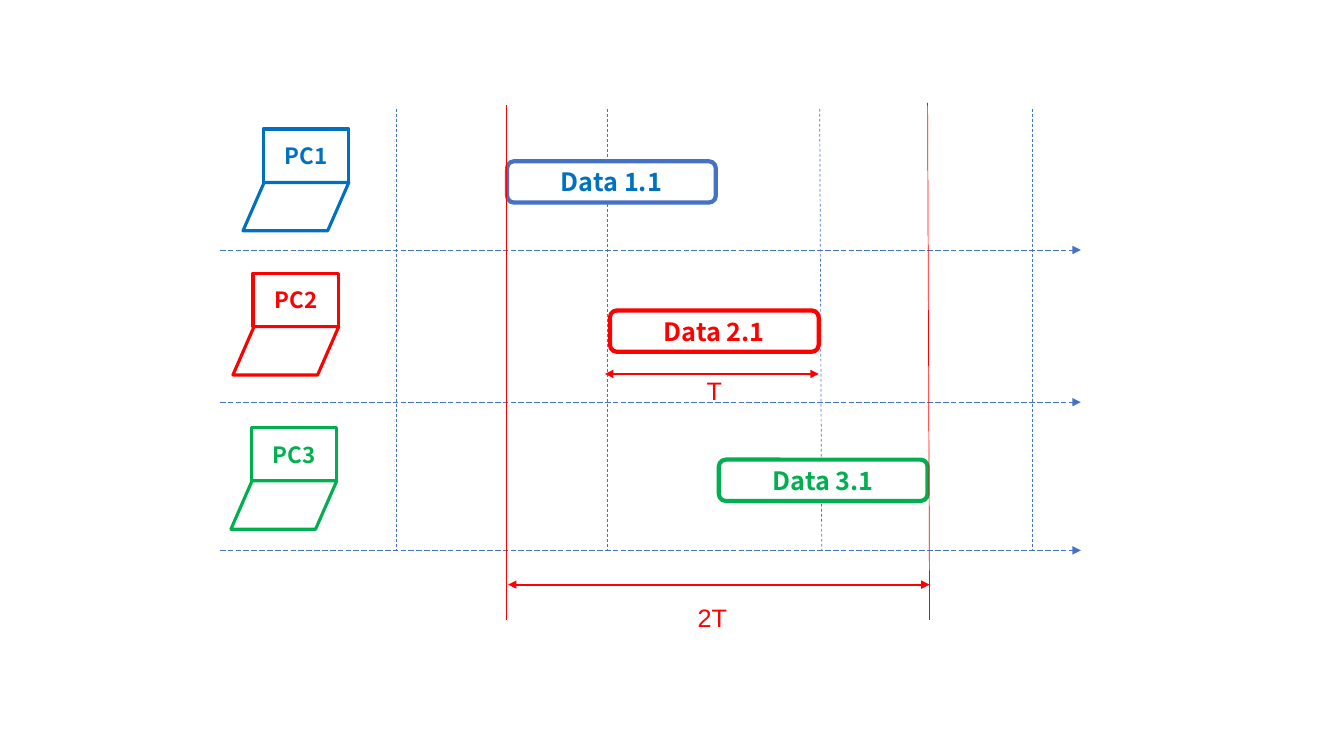
from lxml import etree
from pptx import Presentation
from pptx.dml.color import RGBColor
from pptx.enum.dml import MSO_LINE
from pptx.enum.shapes import MSO_CONNECTOR, MSO_SHAPE
from pptx.enum.text import MSO_ANCHOR, PP_ALIGN
from pptx.oxml.ns import qn
from pptx.util import Inches, Pt

RECT, ROUND = MSO_SHAPE.RECTANGLE, MSO_SHAPE.ROUNDED_RECTANGLE
KEYBOARD = MSO_SHAPE.FLOWCHART_DATA
STRAIGHT = MSO_CONNECTOR.STRAIGHT
DASH, LONG_DASH = MSO_LINE.DASH, MSO_LINE.LONG_DASH
MIDDLE, CENTER = MSO_ANCHOR.MIDDLE, PP_ALIGN.CENTER

BLUE, RED, GREEN = "0070C0", "FF0000", "00B050"
AXIS, WHITE = "4472C4", "FFFFFF"
LABEL_FONT, TIME_FONT = "Noto Sans CJK JP", "Arial"


def rgb(value):
    """Return the colour for a hex string."""
    return RGBColor.from_string(value)


def add_text(sp, text, size, font, color, bold=False):
    """Write one centred run into a shape."""
    tf = sp.text_frame
    tf.word_wrap = True
    p = tf.paragraphs[0]
    p.alignment = CENTER
    r = p.add_run()
    r.text = text
    r.font.size = Pt(size)
    r.font.name = font
    r.font.bold = bold
    r.font.color.rgb = rgb(color)


def add_box(s, kind, box, color, width, fill=None):
    """Add an outlined shape, hollow unless a fill is given."""
    sp = s.shapes.add_shape(kind, *map(Inches, box))
    sp.shadow.inherit = False
    if fill:
        sp.fill.solid()
        sp.fill.fore_color.rgb = rgb(fill)
    else:
        sp.fill.background()
    sp.line.color.rgb = rgb(color)
    sp.line.width = Pt(width)
    sp.text_frame.vertical_anchor = MIDDLE
    return sp


def add_line(s, start, end, color, width, dash=None, arrows=()):
    """Add a straight line with optional dashes and arrowheads."""
    line = s.shapes.add_connector(STRAIGHT, *map(Inches, (*start, *end)))
    line.line.color.rgb = rgb(color)
    line.line.width = Pt(width)
    if dash:
        line.line.dash_style = dash
    ln = line.line._get_or_add_ln()
    for arrow in arrows:
        etree.SubElement(ln, qn(f"a:{arrow}"), type="triangle")
    etree.SubElement(line._element.spPr, qn("a:effectLst"))


def add_laptop(s, x, y, name, color):
    """Draw a laptop as a named screen above a slanted keyboard."""
    screen = add_box(s, RECT, (x + 0.2, y, 0.85, 0.53), color, 2.25)
    add_text(screen, name, 16, LABEL_FONT, color, True)
    add_box(s, KEYBOARD, (x, y + 0.53, 1.05, 0.48), color, 2.25)


def add_grid(s, left, top, right, bottom):
    """Draw the dashed slot boundaries and one time axis per computer."""
    for x, x_end in ((3.93, 3.93), (6.02, 6.02), (8.13, 8.15), (10.24, 10.24)):
        add_line(s, (x, top), (x_end, bottom), AXIS, 0.5, DASH)
    for y in (2.48, 3.99, bottom):
        add_line(s, (left, y), (right, y), AXIS, 0.5, LONG_DASH, ("tailEnd",))


def add_frame(s, x, y, text, color, outline):
    """Draw a data frame as a rounded bar."""
    sp = add_box(s, ROUND, (x, y, 2.07, 0.41), outline, 3, WHITE)
    add_text(sp, text, 18, LABEL_FONT, color, True)


def add_span(s, x, y, width, text, label_box):
    """Draw a double arrow with its duration label."""
    add_line(s, (x, y), (x + width, y), RED, 1.5, None, ("headEnd", "tailEnd"))
    label = s.shapes.add_textbox(*map(Inches, label_box))
    add_text(label, text, 18, TIME_FONT, RED)


def build_slide(prs):
    """Build the frame collision timing diagram."""
    s = prs.slides.add_slide(prs.slide_layouts[6])
    for x, y, name, color in ((2.29, 4.24, "PC3", GREEN),
                              (2.31, 2.71, "PC2", RED),
                              (2.41, 1.28, "PC1", BLUE)):
        add_laptop(s, x, y, name, color)
    add_grid(s, 2.18, 1.08, 10.72, 5.46)
    for x, y, text, color, outline in ((6.05, 3.08, "Data 2.1", RED, RED),
                                       (5.03, 1.6, "Data 1.1", BLUE, AXIS),
                                       (7.13, 4.56, "Data 3.1", GREEN, GREEN)):
        add_frame(s, x, y, text, color, outline)
    add_line(s, (5.02, 1.04), (5.02, 6.15), RED, 0.5)
    add_line(s, (9.2, 1.02), (9.22, 6.15), RED, 0.5)
    add_span(s, 5.04, 5.8, 4.18, "2T", (6.79, 5.93, 0.55, 0.4))
    add_span(s, 6, 3.71, 2.12, "T", (6.86, 3.67, 0.45, 0.4))


def main():
    """Create the presentation and save it."""
    prs = Presentation()
    prs.slide_width, prs.slide_height = Inches(13.33), Inches(7.5)
    build_slide(prs)
    prs.save("out.pptx")


if __name__ == "__main__":
    main()
